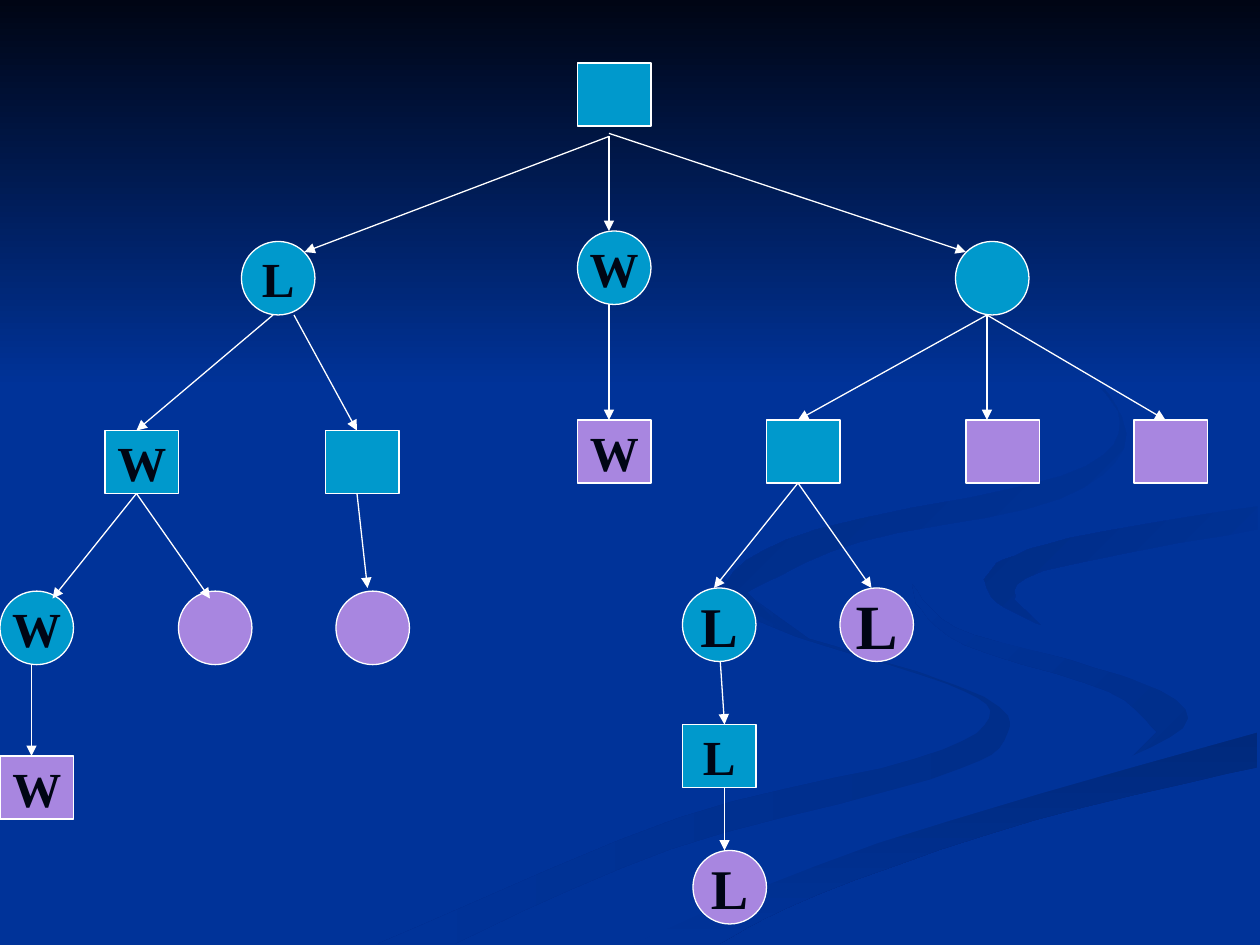
import dataclasses

import pptx
import pptx.dml.color
import pptx.enum.shapes
import pptx.enum.text
import pptx.oxml
import pptx.oxml.ns
import pptx.util
from pptx.util import Cm

SHAPES = pptx.enum.shapes.MSO_SHAPE
COLOURS = {
    "blue": "003399", "night": "000514", "teal": "0099CC", "violet": "A886E0",
    "white": "FFFFFF", "shade": "002E8A", "deep": "00297C", "bend": "002C85",
    "curl": "002B81",
}
GRID = 2.54 / 12    # the tree sits on a grid of twelve steps to the inch
FINE = Cm(0.0254)   # ribbon outlines are in hundredths of an inch

# Ribbons: start colour, end colour, clockwise angle, one edge, the edge back
RIBBONS = [
    ("shade", "blue", 180,
     [(575, 459), (572, 476), (631, 505), (752, 543), (785, 570), (727, 602),
      (539, 649), (300, 749)],
     [(361, 749), (532, 674), (740, 618), (797, 588), (781, 553), (642, 507)]),
    ("shade", "blue", 225,
     [(724, 464), (758, 498), (850, 524), (930, 553), (941, 581), (894, 605)],
     [(918, 581), (880, 549), (766, 512), (727, 479)]),
    ("deep", "blue", 90,
     [(503, 749), (630, 693), (764, 647), (998, 581)],
     [(998, 609), (821, 651), (649, 710), (571, 749)]),
    ("blue", "blue", 0,
     [(725, 464), (775, 503), (889, 535), (943, 570), (869, 611), (663, 668),
      (477, 749)],
     [(503, 749), (697, 669), (999, 581)],
     [(999, 538), (848, 503), (781, 463), (850, 427), (999, 402)],
     [(999, 387), (808, 417), (732, 446)]),
    ("blue", "bend", 225,
     [(781, 460), (791, 478), (826, 496)],
     [(805, 476), (828, 453), (998, 420)],
     [(998, 402), (849, 427), (791, 447)]),
    ("blue", "curl", 225,
     [(762, 233), (846, 279), (889, 335), (842, 378), (649, 420), (577, 462),
      (622, 500)],
     [(593, 470), (683, 430), (841, 396), (894, 344), (843, 275)]),
]


@dataclasses.dataclass
class Node:
    """A position in the game; leave and land shift the ends of its arrow."""
    left: float
    top: float
    fill: str
    label: str = ""
    size: int = 28
    leave: tuple = (0, 0)
    land: tuple = (0, 0)
    children: tuple = ()


GAME = Node(55, 6, "teal", children=(
    Node(23, 23, "teal", "L", leave=(0, 1), land=(3, 1), children=(
        Node(10, 41, "teal", "W", children=(
            Node(0, 56.3, "teal", "W", land=(2, 0.7), children=(
                Node(0, 72, "violet", "W"),)),
            Node(17, 56.3, "violet", land=(0, 0.7)))),
        Node(31, 41, "teal", leave=(2, 0), children=(
            Node(32, 56.3, "violet", land=(0, -0.3)),)))),
    Node(55, 22, "teal", "W", leave=(0, 1), children=(
        Node(55, 40, "violet", "W"),)),
    Node(91, 23, "teal", leave=(0, 0.7), land=(-2, 1), children=(
        Node(73, 40, "teal", children=(
            Node(65, 56, "teal", "L", 32, children=(
                Node(65, 69, "teal", "L", leave=(0.6, 0), land=(1, 0), children=(
                    Node(66, 81, "violet", "L", 32, leave=(1, 0)),)),)),
            Node(80, 56, "violet", "L", 36))),
        Node(92, 40, "violet", land=(-1, 0)),
        Node(108, 40, "violet")))))


def rgb(name):
    return pptx.dml.color.RGBColor.from_string(COLOURS[name])


def steps(*counts):
    return [Cm(count * GRID) for count in counts]


def smooth(edge, parts=5):
    """Run a Catmull-Rom curve through the points of an open edge."""
    curve = [edge[0]]
    padded = [edge[0], *edge, edge[-1]]
    for a, b, c, d in zip(padded, padded[1:], padded[2:], padded[3:]):
        for part in range(1, parts + 1):
            t = part / parts
            curve.append(tuple(
                round(q + t * (r - p + t * (2 * p - 5 * q + 4 * r - s
                                            + t * (3 * (q - r) + s - p))) / 2)
                for p, q, r, s in zip(a, b, c, d)))
    return curve


def height(depth):
    return 7 if depth % 2 else 6


class TreePage:
    font = "Times New Roman"
    line_width = pptx.util.Pt(0.75)

    def __init__(self, page):
        self.page = page
        page.background.fill.solid()
        page.background.fill.fore_color.rgb = rgb("blue")

    def shade(self, shape, first, last, angle):
        shape.shadow.inherit = False
        shape.line.fill.background()
        if first == last:
            shape.fill.solid()
            shape.fill.fore_color.rgb = rgb(first)
            return
        shape.fill.gradient()
        shape.fill.gradient_angle = (360 - angle) % 360
        for stop, name in zip(shape.fill.gradient_stops, (first, last)):
            stop.color.rgb = rgb(name)

    def ribbon(self, first, last, angle, *edges):
        outline = [point for edge in edges for point in smooth(edge)]
        builder = self.page.shapes.build_freeform(*outline[0], scale=FINE)
        builder.add_line_segments(outline[1:], close=True)
        self.shade(builder.convert_to_shape(), first, last, angle)

    def sky(self):
        band = self.page.shapes.add_shape(
            SHAPES.RECTANGLE, 0, 0, Cm(25.4), Cm(7.82))
        self.shade(band, "night", "blue", 90)

    def node(self, node, depth=0):
        """Draw a node and all below it: squares and circles take turns."""
        kind = SHAPES.FLOWCHART_CONNECTOR if depth % 2 else SHAPES.FLOWCHART_PROCESS
        box = self.page.shapes.add_shape(
            kind, *steps(node.left, node.top, 7, height(depth)))
        box.shadow.inherit = False
        box.fill.solid()
        box.fill.fore_color.rgb = rgb(node.fill)
        box.line.color.rgb = rgb("white")
        box.line.width = self.line_width
        if node.label:
            frame = box.text_frame
            frame.word_wrap = False
            frame.vertical_anchor = pptx.enum.text.MSO_ANCHOR.MIDDLE
            para = frame.paragraphs[0]
            para.text = node.label
            para.alignment = pptx.enum.text.PP_ALIGN.CENTER
            para.font.name = self.font
            para.font.size = pptx.util.Pt(node.size)
            para.font.bold = True
            para.font.color.rgb = rgb("night")
        for child in node.children:
            self.node(child, depth + 1)

    def arrows(self, node, depth=0):
        for child in node.children:
            (start_x, start_y), (end_x, end_y) = child.leave, child.land
            self.arrow(node.left + 3 + start_x, node.top + height(depth) + start_y,
                       child.left + 3 + end_x, child.top + end_y)
            self.arrows(child, depth + 1)

    def arrow(self, *ends):
        line = self.page.shapes.add_connector(
            pptx.enum.shapes.MSO_CONNECTOR.STRAIGHT, *steps(*ends))
        line.line.color.rgb = rgb("white")
        line.line.width = self.line_width
        space = pptx.oxml.ns.nsdecls("a")
        line.line._get_or_add_ln().append(
            pptx.oxml.parse_xml(f'<a:tailEnd {space} type="triangle"/>'))
        line._element.spPr.append(pptx.oxml.parse_xml(f"<a:effectLst {space}/>"))


def main():
    deck = pptx.Presentation()
    deck.slide_width, deck.slide_height = Cm(25.4), Cm(19.05)
    tree = TreePage(deck.slides.add_slide(deck.slide_layouts[6]))
    for ribbon in RIBBONS:
        tree.ribbon(*ribbon)
    tree.sky()
    tree.node(GAME)
    tree.arrows(GAME)
    deck.save("out.pptx")


if __name__ == "__main__":
    main()
